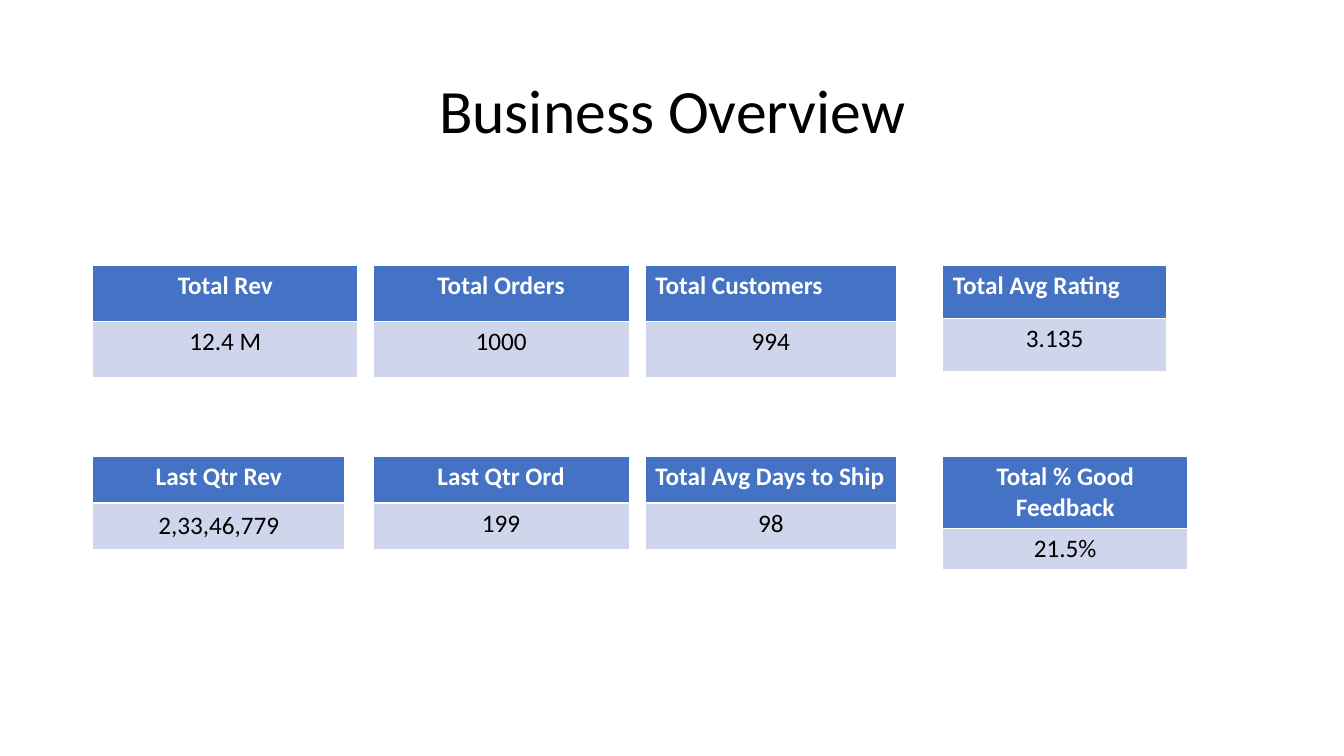
from pptx import Presentation
from pptx.dml.color import RGBColor
from pptx.enum.text import MSO_ANCHOR, PP_ALIGN
from pptx.util import Emu, Pt

EMU_PER_PX = 9144
FONT = "Calibri"
WHITE, BLACK = "FFFFFF", "000000"
HEADER_FILL, VALUE_FILL = "4472C4", "CFD5EA"
COLUMN_LEFTS = [92, 370, 640, 935]
CENTER, LEFT = PP_ALIGN.CENTER, PP_ALIGN.LEFT
TOP, MIDDLE = MSO_ANCHOR.TOP, MSO_ANCHOR.MIDDLE

METRIC_ROWS = [
    (263, [
        ("Total Rev", "12.4 M", 263, (56, 56), CENTER, TOP),
        ("Total Orders", "1000", 254, (56, 56), CENTER, TOP),
        ("Total Customers", "994", 249, (56, 56), LEFT, TOP),
        ("Total Avg Rating", "3.135", 222, (53, 53), LEFT, TOP),
    ]),
    (453, [
        ("Last Qtr Rev", "2,33,46,779", 250, (46, 46), CENTER, MIDDLE),
        ("Last Qtr Ord", "199", 254, (46, 46), CENTER, TOP),
        ("Total Avg Days to Ship", "98", 249, (46, 46), LEFT, TOP),
        ("Total % Good Feedback", "21.5%", 243, (70, 40), CENTER, TOP),
    ]),
]


def px(length):
    return Emu(length * EMU_PER_PX)


def color(hex_string):
    return RGBColor.from_string(hex_string)


def write(text_frame, text, size, hex_color, bold, alignment):
    paragraph = text_frame.paragraphs[0]
    paragraph.alignment = alignment
    run = paragraph.add_run()
    run.text = text
    run.font.name = FONT
    run.font.size = Pt(size)
    run.font.bold = bold
    run.font.color.rgb = color(hex_color)
    return paragraph


def add_title(slide, left, top, width, height):
    title = slide.shapes.title
    title.left, title.top = px(left), px(top)
    title.width, title.height = px(width), px(height)
    title.text_frame.vertical_anchor = MIDDLE
    paragraph = write(title.text_frame, "Business Overview", 44, BLACK, False, CENTER)
    paragraph.line_spacing = 0.9


def add_metric(slide, left, top, metric):
    label, value, width, heights, label_alignment, value_anchor = metric
    table = slide.shapes.add_table(
        2, 1, px(left), px(top), px(width), px(sum(heights))
    ).table
    styles = [
        (label, WHITE, True, label_alignment, TOP, HEADER_FILL),
        (value, BLACK, False, CENTER, value_anchor, VALUE_FILL),
    ]
    for index, (text, text_color, bold, alignment, anchor, fill) in enumerate(styles):
        table.rows[index].height = px(heights[index])
        cell = table.cell(index, 0)
        cell.fill.solid()
        cell.fill.fore_color.rgb = color(fill)
        cell.vertical_anchor = anchor
        write(cell.text_frame, text, 18, text_color, bold, alignment)


def main():
    presentation = Presentation()
    presentation.slide_width, presentation.slide_height = px(1333), px(750)
    slide = presentation.slides.add_slide(presentation.slide_layouts[5])
    add_title(slide, 92, 40, 1150, 145)
    for top, metrics in METRIC_ROWS:
        for left, metric in zip(COLUMN_LEFTS, metrics):
            add_metric(slide, left, top, metric)
    presentation.save("out.pptx")


if __name__ == "__main__":
    main()
